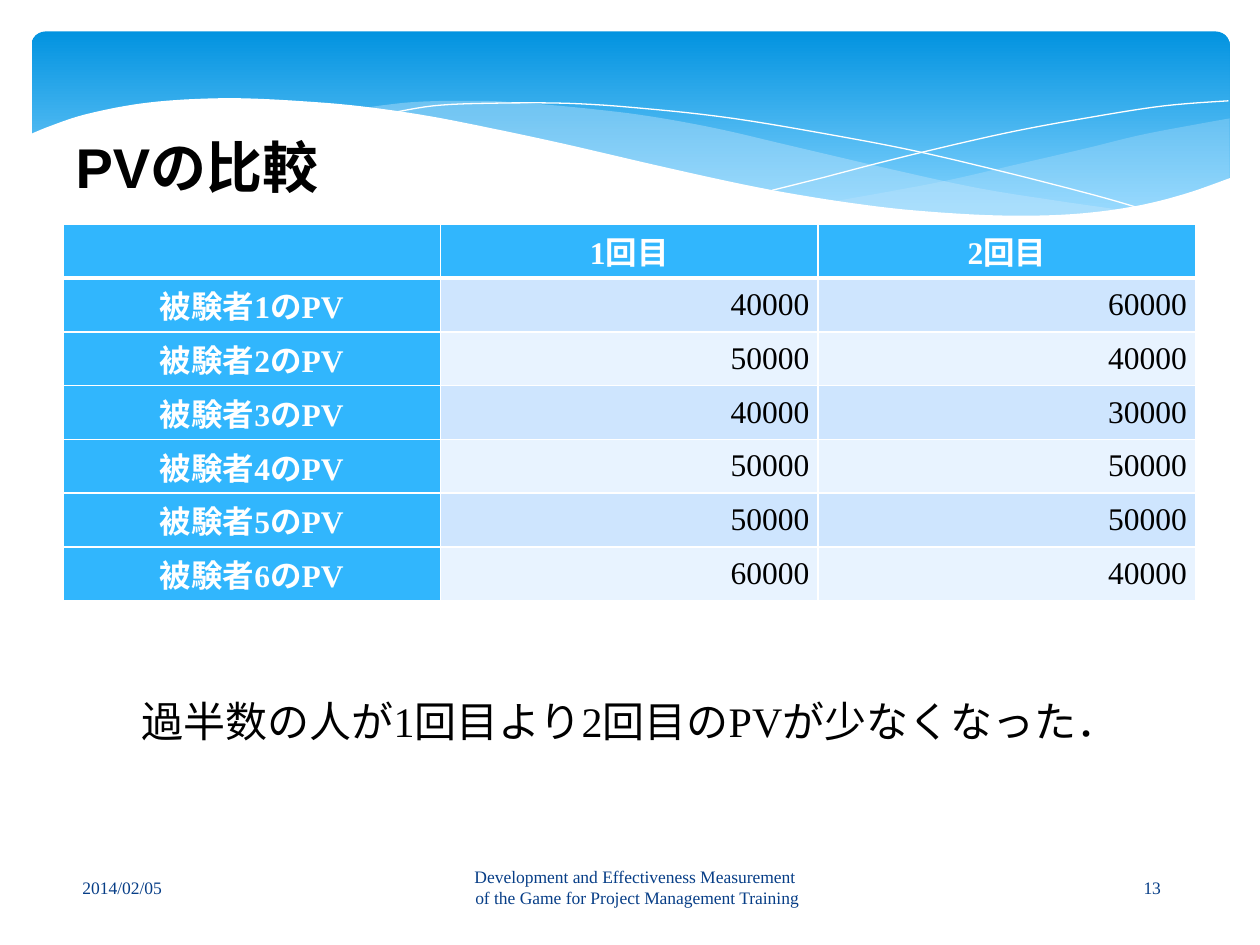
"""Build the slide that compares PV between the first and second rounds."""
from dataclasses import dataclass
from typing import Optional

from lxml.etree import SubElement
from pptx import Presentation
from pptx.dml.color import RGBColor
from pptx.enum.shapes import MSO_SHAPE
from pptx.enum.text import MSO_ANCHOR as Anchor, MSO_AUTO_SIZE as AutoSize, PP_ALIGN as Align
from pptx.oxml import parse_xml
from pptx.oxml.ns import nsdecls, qn
from pptx.util import Inches, Pt

WHITE = RGBColor(0xFF, 0xFF, 0xFF)
BLACK = RGBColor(0, 0, 0)
NAVY = RGBColor(0x07, 0x3E, 0x87)
HEADER_BLUE = RGBColor(0x31, 0xB6, 0xFD)
BAND_DARK = RGBColor(0xCE, 0xE5, 0xFE)
BAND_LIGHT = RGBColor(0xE8, 0xF3, 0xFF)
BANNER_TOP = RGBColor(0x02, 0x93, 0xE0)
BANNER_BOTTOM = RGBColor(0x83, 0xD3, 0xFE)
MIST = RGBColor(0xC6, 0xE7, 0xFC)
SERIF = "Times New Roman"
Point = tuple[float, float]


@dataclass
class Wave:
    curves: list[list[Point]]
    fill: Optional[RGBColor] = None
    opacity: int = 100


@dataclass
class Label:
    left: float
    top: float
    width: float
    height: float
    lines: list[str]
    size: int
    color: RGBColor
    anchor: Anchor = Anchor.MIDDLE


WAVES = [
    Wave([[(9.76, 0.94), (9.48, 0.99), (9.06, 1.07), (8.61, 1.18), (8.05, 1.31),
           (7.53, 1.43), (7.06, 1.52), (6.61, 1.6)],
          [(6.61, 1.6), (7.05, 1.65), (7.45, 1.69), (7.92, 1.72), (8.35, 1.72),
           (8.81, 1.67), (9.21, 1.6), (9.49, 1.52), (9.76, 1.41)]], MIST, 29),
    Wave([[(8.93, 1.67), (8.37, 1.59), (7.75, 1.49), (7.06, 1.34), (6.29, 1.16),
           (5.69, 1.02), (5.14, 0.92), (4.65, 0.86), (4.2, 0.82), (3.8, 0.8),
           (3.28, 0.81), (2.86, 0.86)],
          [(2.86, 0.86), (3.42, 0.94), (4.04, 1.06), (4.49, 1.16), (5.3, 1.35),
           (6.01, 1.5), (6.65, 1.61), (7.22, 1.68), (7.73, 1.72), (8.18, 1.73),
           (8.57, 1.71), (8.93, 1.67)]], MIST, 40),
    Wave([[(3.09, 0.9), (3.44, 0.84), (3.87, 0.82), (4.5, 0.82), (5.1, 0.86),
           (5.82, 0.94), (6.65, 1.08), (7.27, 1.2), (7.95, 1.36), (8.69, 1.55),
           (9.07, 1.66)]]),
    Wave([[(6.13, 1.51), (6.53, 1.41), (6.95, 1.3), (7.48, 1.17), (8.06, 1.04),
           (8.66, 0.93), (9.24, 0.84), (9.75, 0.8)]]),
    Wave([[(9.77, 1.41), (9.4, 1.54), (8.99, 1.64), (8.5, 1.7), (7.93, 1.71),
           (7.26, 1.67), (6.68, 1.6), (6.03, 1.49), (5.29, 1.33), (4.47, 1.14),
           (3.91, 1.02), (3.4, 0.92), (2.92, 0.85), (2.5, 0.81), (1.93, 0.78),
           (1.46, 0.79), (1.06, 0.83), (0.67, 0.91), (0.4, 1), (0.23, 1.07)],
          [(0.23, 2.24), (9.77, 2.24)]], WHITE),
]
LABELS = [
    Label(0.35, 6.84, 1.24, 0.4, ["2014/02/05"], 10, NAVY),
    Label(1.63, 6.84, 6.85, 0.4, ["Development and Effectiveness Measurement ",
                                  "of the Game for Project Management Training"], 10, NAVY),
    Label(8.51, 6.84, 1.27, 0.4, ["13"], 10, NAVY),
    Label(0, 5.47, 10, 0.5, ["過半数の人が1回目より2回目のPVが少なくなった．"], 24, BLACK, Anchor.TOP),
]
PV_VALUES = [(40000, 60000), (50000, 40000), (40000, 30000),
             (50000, 50000), (50000, 50000), (60000, 40000)]


def smooth(points: list[Point], steps: int = 6) -> list[Point]:
    """Return a Catmull-Rom curve through the points."""
    padded = [points[0], *points, points[-1]]
    curve = [points[0]]
    for a, b, c, d in zip(padded, padded[1:], padded[2:], padded[3:]):
        for step in range(1, steps + 1):
            t = step / steps
            curve.append(tuple(
                b[i] + t / 2 * (c[i] - a[i]
                                + t * (2 * a[i] - 5 * b[i] + 4 * c[i] - d[i])
                                + t * t * (3 * b[i] - a[i] - 3 * c[i] + d[i]))
                for i in (0, 1)))
    return curve


def add_run(p, text: str, size: int, color: RGBColor, bold: bool = False, font: str = SERIF) -> None:
    """Add one formatted run to a paragraph."""
    r = p.add_run()
    r.text = text
    r.font.size, r.font.name, r.font.bold = Pt(size), font, bold
    r.font.color.rgb = color


def add_banner(s) -> None:
    """Draw the rounded gradient banner."""
    sp = s.shapes.add_shape(MSO_SHAPE.ROUNDED_RECTANGLE,
                            Inches(0.25), Inches(0.25), Inches(9.51), Inches(1.56))
    sp.adjustments[0] = 0.071
    sp.shadow.inherit = False
    sp.line.fill.background()
    sp.fill.gradient()
    sp.fill.gradient_angle = 270
    for stop, color, position in zip(sp.fill.gradient_stops, (BANNER_TOP, BANNER_BOTTOM), (0, 0.9)):
        stop.color.rgb = color
        stop.position = position


def add_wave(s, wave: Wave) -> None:
    """Draw a filled wave, or a hairline when it has no fill."""
    start, *rest = [(Inches(x), Inches(y)) for curve in wave.curves for x, y in smooth(curve)]
    builder = s.shapes.build_freeform(*start)
    builder.add_line_segments(rest, close=wave.fill is not None)
    sp = builder.convert_to_shape()
    sp.shadow.inherit = False
    if wave.fill is None:
        sp.fill.background()
        sp.line.color.rgb = WHITE
        sp.line.width = Pt(0)
        return
    sp.line.fill.background()
    sp.fill.solid()
    sp.fill.fore_color.rgb = wave.fill
    if wave.opacity < 100:
        color = sp._element.spPr.find(qn("a:solidFill"))[0]
        SubElement(color, qn("a:alpha"), val=str(wave.opacity * 1000))


def add_label(s, label: Label) -> None:
    """Add a centred text box."""
    sp = s.shapes.add_textbox(*map(Inches, (label.left, label.top, label.width, label.height)))
    tf = sp.text_frame
    tf.word_wrap = True
    tf.vertical_anchor = label.anchor
    if label.anchor == Anchor.TOP:
        tf.auto_size = AutoSize.SHAPE_TO_FIT_TEXT
    for i, line in enumerate(label.lines):
        p = tf.add_paragraph() if i else tf.paragraphs[0]
        p.alignment = Align.CENTER
        add_run(p, line, label.size, label.color)


def set_borders(cell, top: int, bottom: int) -> None:
    """Give a cell white borders, with widths in points."""
    tc_pr = cell._tc.get_or_add_tcPr()
    for i, (side, width) in enumerate(zip("LRTB", (1, 1, top, bottom))):
        tc_pr.insert(i, parse_xml(
            f'<a:ln{side} {nsdecls("a")} w="{Pt(width)}"><a:solidFill>'
            f'<a:srgbClr val="{WHITE}"/></a:solidFill></a:ln{side}>'))


def add_pv_table(s) -> None:
    """Add the table of PV per subject and round."""
    rows = [("", "1回目", "2回目")]
    rows += [(f"被験者{i}のPV", *map(str, values)) for i, values in enumerate(PV_VALUES, 1)]
    table = s.shapes.add_table(len(rows), 3, Inches(0.5), Inches(1.78),
                               Inches(8.99), Inches(2.99)).table
    for i, row in enumerate(rows):
        for j, text in enumerate(row):
            cell = table.cell(i, j)
            heading = i == 0 or j == 0
            cell.fill.solid()
            cell.fill.fore_color.rgb = HEADER_BLUE if heading else (BAND_LIGHT, BAND_DARK)[i % 2]
            cell.margin_left = cell.margin_right = Inches(0.07)
            cell.margin_top = cell.margin_bottom = 0
            cell.vertical_anchor = Anchor.MIDDLE
            set_borders(cell, 3 if i == 1 else 1, 3 if i == 0 else 1)
            p = cell.text_frame.paragraphs[0]
            p.alignment = Align.CENTER if heading else Align.RIGHT
            if text:
                add_run(p, text, 18, WHITE if heading else BLACK, heading)


def add_title(s, text: str) -> None:
    """Place the title in front of the banner."""
    sp = s.shapes.title
    s.shapes._spTree.append(sp._element)
    sp.left, sp.top, sp.width, sp.height = map(Inches, (0.5, 1, 5.08, 0.7))
    tf = sp.text_frame
    tf.vertical_anchor = Anchor.TOP
    p = tf.paragraphs[0]
    p.alignment = Align.LEFT
    add_run(p, text, 32, BLACK, True, "Arial")


def main() -> None:
    """Build and save the slide."""
    prs = Presentation()
    prs.slide_width, prs.slide_height = Inches(10), Inches(7.5)
    s = prs.slides.add_slide(prs.slide_layouts[5])
    add_banner(s)
    for wave in WAVES:
        add_wave(s, wave)
    add_title(s, "PVの比較")
    add_pv_table(s)
    for label in LABELS:
        add_label(s, label)
    prs.save("out.pptx")


if __name__ == "__main__":
    main()
